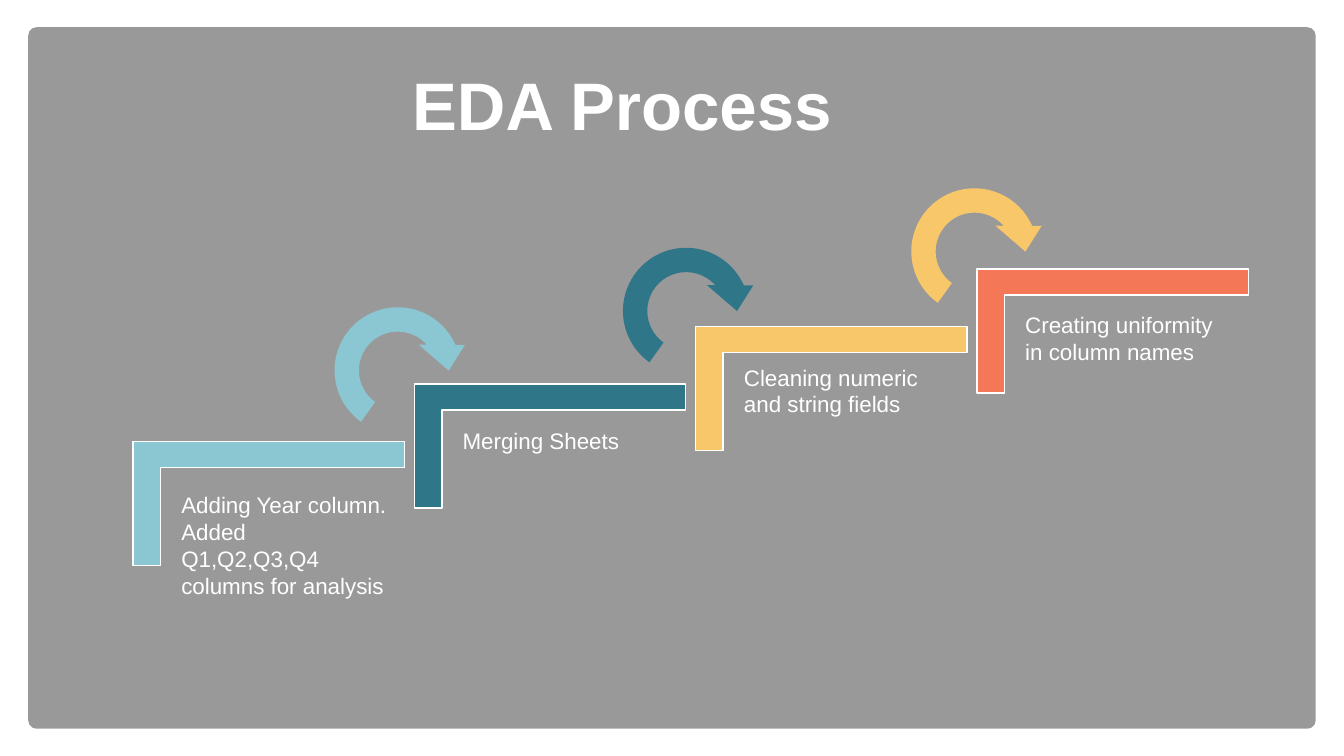
from dataclasses import dataclass

from lxml.etree import SubElement
from pptx import Presentation
from pptx.dml.color import RGBColor
from pptx.enum.shapes import MSO_SHAPE
from pptx.enum.text import MSO_ANCHOR, MSO_AUTO_SIZE, PP_ALIGN
from pptx.oxml.ns import qn
from pptx.shapes.autoshape import Shape
from pptx.slide import Slide
from pptx.util import Inches, Pt

BLACK = RGBColor(0x00, 0x00, 0x00)
WHITE = RGBColor(0xFF, 0xFF, 0xFF)
SKY = RGBColor(0x8A, 0xC7, 0xD3)
TEAL = RGBColor(0x30, 0x76, 0x89)
GOLD = RGBColor(0xF7, 0xC7, 0x6A)
CORAL = RGBColor(0xF4, 0x77, 0x58)
FONT = "Arial"

# Staircase: first place, then the move to the next step
STEP_X, STEP_Y = 2.05, 3.65
STEP_DX, STEP_DY = 2.79, -0.57
TURN_X, TURN_Y = 3.21, 2.94
TURN_DX, TURN_DY = 2.86, -0.59
LABEL_DX = -0.35


@dataclass
class Step:
    text: str
    color: RGBColor
    top: float
    width: float
    height: float


STEPS = [
    Step("Adding Year column. Added Q1,Q2,Q3,Q4 columns for analysis",
         SKY, 4.81, 2.24, 1.18),
    Step("Merging Sheets", TEAL, 4.18, 2.13, 0.37),
    Step("Cleaning numeric and string fields", GOLD, 3.55, 2.12, 0.64),
    Step("Creating uniformity in column names", CORAL, 3.03, 2.12, 0.64),
]


def add_block(slide: Slide, kind: MSO_SHAPE, x: float, y: float, w: float,
              h: float, color: RGBColor, adjust: list[float]) -> Shape:
    block = slide.shapes.add_shape(
        kind, Inches(x), Inches(y), Inches(w), Inches(h))
    block.shadow.inherit = False
    block.fill.solid()
    block.fill.fore_color.rgb = color
    block.line.fill.background()
    for i, value in enumerate(adjust):
        block.adjustments[i] = value
    return block


def add_text(slide: Slide, text: str, x: float, y: float, w: float, h: float,
             size: int, anchor: MSO_ANCHOR, bold: bool = False) -> Shape:
    box = slide.shapes.add_textbox(Inches(x), Inches(y), Inches(w), Inches(h))
    frame = box.text_frame
    frame.word_wrap = True
    frame.vertical_anchor = anchor
    frame.text = text
    font = frame.paragraphs[0].runs[0].font
    font.name, font.size, font.bold = FONT, Pt(size), bold
    font.color.rgb = WHITE
    return box


def add_step(slide: Slide, index: int, step: Step) -> None:
    x = STEP_X + index * STEP_DX
    corner = add_block(slide, MSO_SHAPE.CORNER, x, STEP_Y + index * STEP_DY,
                       1.23, 2.69, step.color, [0.221, 0.21])
    corner.rotation = 90
    corner.line.color.rgb = WHITE
    corner.line.width = Pt(1)
    label = add_text(slide, step.text, x + LABEL_DX, step.top, step.width,
                     step.height, 16, MSO_ANCHOR.BOTTOM)
    label.text_frame.auto_size = MSO_AUTO_SIZE.SHAPE_TO_FIT_TEXT


def add_turn(slide: Slide, index: int, step: Step) -> None:
    add_block(slide, MSO_SHAPE.CIRCULAR_ARROW, TURN_X + index * TURN_DX,
              TURN_Y + index * TURN_DY, 1.47, 1.47, step.color,
              [0.164, 18.214, 197.903, 75.279, 0.156])


def main() -> None:
    deck = Presentation()
    deck.slide_width, deck.slide_height = Inches(13.33), Inches(7.5)
    slide = deck.slides.add_slide(deck.slide_layouts[6])

    # Translucent panel
    panel = add_block(slide, MSO_SHAPE.ROUNDED_RECTANGLE,
                      0.28, 0.27, 12.77, 6.96, BLACK, [0.012])
    tint = panel._element.spPr.find(f".//{qn('a:srgbClr')}")
    SubElement(tint, qn("a:alpha")).set("val", "40000")

    # Title
    title = add_text(slide, "EDA Process", 3.28, 0, 5.78, 1.97,
                     48, MSO_ANCHOR.MIDDLE, bold=True)
    head = title.text_frame.paragraphs[0]
    head.alignment = PP_ALIGN.CENTER
    head.line_spacing = 1.1
    head.space_before = Pt(9.6)

    # Stairs, then the arrows that lead up them
    for index, step in enumerate(STEPS):
        add_step(slide, index, step)
    for index, step in enumerate(STEPS[:-1]):
        add_turn(slide, index, step)

    deck.save("out.pptx")


if __name__ == "__main__":
    main()
